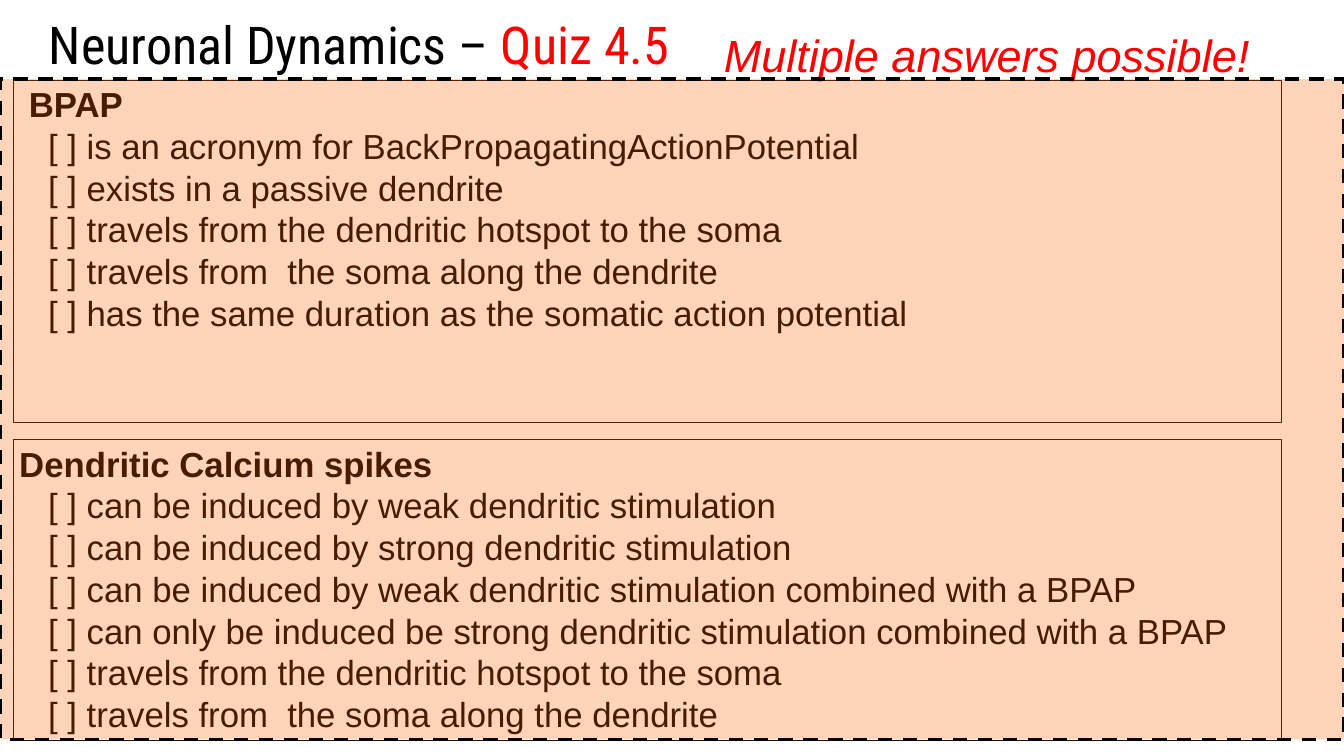
from pptx import Presentation
from pptx.dml.color import RGBColor
from pptx.enum.dml import MSO_LINE
from pptx.enum.shapes import MSO_SHAPE
from pptx.enum.text import MSO_ANCHOR, PP_ALIGN
from pptx.oxml.ns import qn
from pptx.util import Cm, Pt
from lxml.etree import SubElement

WIDTH, HEIGHT = 60.02, 33.76
BLACK, RED, ORANGE, EDGE = "000000", "FF0000", "FF6600", "0D0D0D"
TITLE = [("Neuronal Dynamics – ", BLACK), ("Quiz 4.5", RED)]
HINT = [("Multiple answers possible!", RED)]
QUESTIONS = [
    {"heading": "BPAP", "indent": 0.43, "top": 3.58, "height": 15.29, "answers": [
        "is an acronym for BackPropagatingActionPotential",
        "exists in a passive dendrite",
        "travels from the dendritic hotspot to the soma",
        "travels from  the soma along the dendrite",
        "has the same duration as the somatic action potential"]},
    {"heading": "Dendritic Calcium spikes", "indent": 0, "top": 19.63, "height": 13.41, "answers": [
        "can be induced by weak dendritic stimulation",
        "can be induced by strong dendritic stimulation",
        "can be induced by weak dendritic stimulation combined with a BPAP",
        "can only be induced be strong dendritic stimulation combined with a BPAP",
        "travels from the dendritic hotspot to the soma",
        "travels from  the soma along the dendrite"]},
]
QUESTION_LEFT, QUESTION_WIDTH = 0.61, 56.62
ANSWER_INDENT = 1.29
LINE_FACTOR = 1.2
TITLE_FONT = {"name": "Roboto Condensed", "size": Pt(66)}
HINT_FONT = {"name": "Arial", "size": Pt(57), "italic": True}
QUESTION_FONT = {"name": "Arial", "size": Pt(44)}


def color(target, value):
    target.rgb = RGBColor.from_string(value)


def add_runs(p, runs, font):
    for text, value in runs:
        r = p.add_run()
        r.text = text
        for name, setting in font.items():
            setattr(r.font, name, setting)
        color(r.font.color, value)


def add_text(s, box, runs, font, wrap):
    tf = s.shapes.add_textbox(*map(Cm, box)).text_frame
    tf.word_wrap = wrap
    add_runs(tf.paragraphs[0], runs, font)
    return tf.paragraphs[0]


def add_rect(s, box, line, width):
    sp = s.shapes.add_shape(MSO_SHAPE.RECTANGLE, *map(Cm, box))
    sp.shadow.inherit = False
    sp.fill.background()
    color(sp.line.color, line)
    sp.line.width = Pt(width)
    return sp


def add_question(s, q):
    sp = add_rect(s, (QUESTION_LEFT, q["top"], QUESTION_WIDTH, q["height"]), EDGE, 0.75)
    tf = sp.text_frame
    tf.word_wrap = True
    tf.vertical_anchor = MSO_ANCHOR.TOP
    lines = [(q["heading"], q["indent"], True)]
    lines += [(f"[ ] {answer}", ANSWER_INDENT, False) for answer in q["answers"]]
    for i, (text, indent, bold) in enumerate(lines):
        p = tf.add_paragraph() if i else tf.paragraphs[0]
        p.alignment = PP_ALIGN.LEFT
        p.line_spacing = Pt(QUESTION_FONT["size"].pt * LINE_FACTOR)
        p._p.get_or_add_pPr().set("marL", str(Cm(indent)))
        add_runs(p, [(text, BLACK)], {**QUESTION_FONT, "bold": bold})


def add_veil(s):
    sp = add_rect(s, (0, 3.53, WIDTH, 29.49), BLACK, 4.5)
    sp.line.dash_style = MSO_LINE.DASH
    sp.fill.solid()
    color(sp.fill.fore_color, ORANGE)
    rgb = sp._element.spPr.find(qn("a:solidFill")).find(qn("a:srgbClr"))
    SubElement(rgb, qn("a:alpha")).set("val", "28000")


def main():
    """Build the quiz slide and save it."""
    prs = Presentation()
    prs.slide_width, prs.slide_height = Cm(WIDTH), Cm(HEIGHT)
    s = prs.slides.add_slide(prs.slide_layouts[6])
    add_text(s, (1.93, 0.43, 57.94, 4.09), TITLE, TITLE_FONT, True)
    for q in QUESTIONS:
        add_question(s, q)
    hint = add_text(s, (32.08, 1.09, 24.23, 2.69), HINT, HINT_FONT, False)
    hint.line_spacing = Pt(HINT_FONT["size"].pt * LINE_FACTOR)
    add_veil(s)
    prs.save("out.pptx")


if __name__ == "__main__":
    main()
